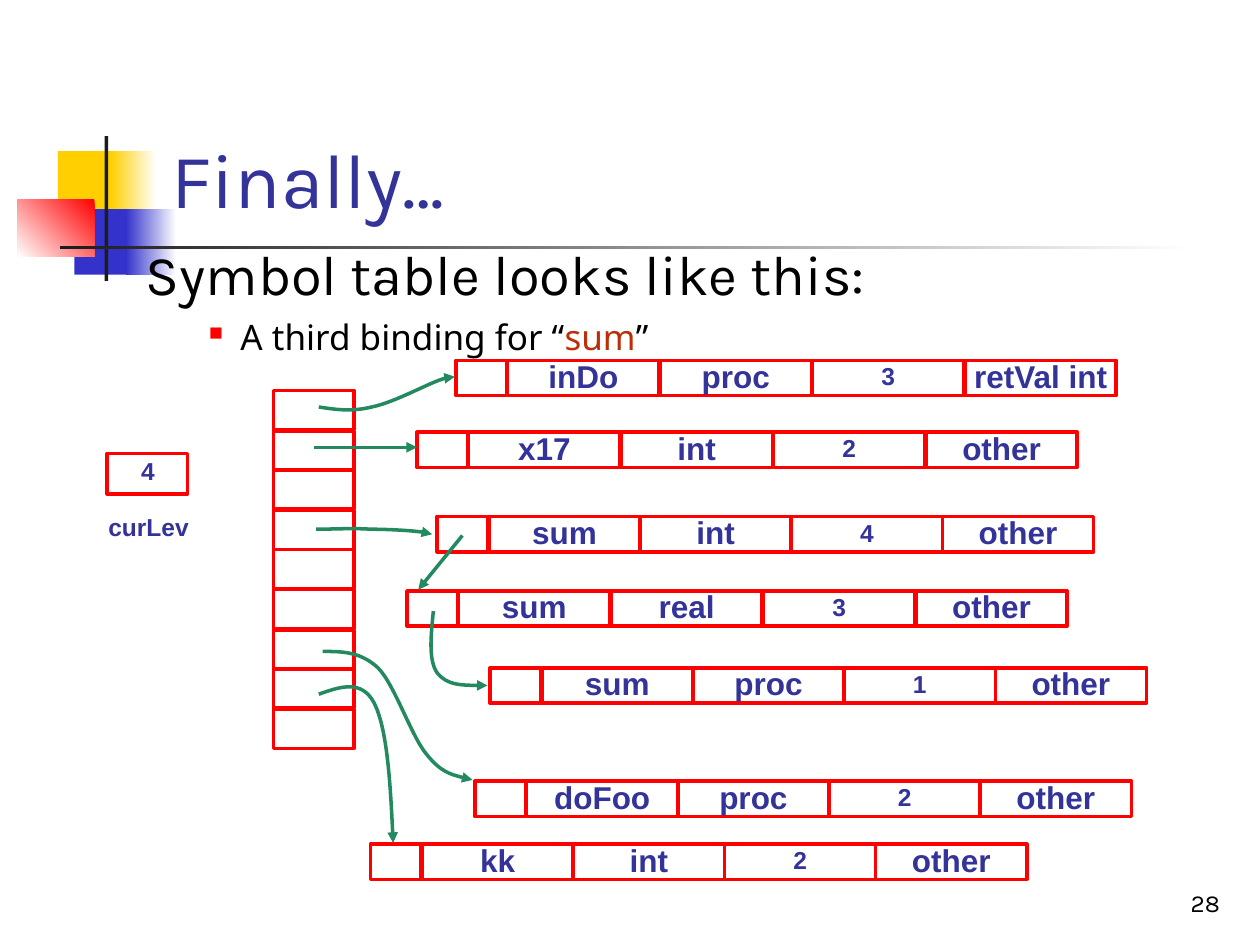
import pptx
import pptx.dml.color
import pptx.enum.shapes
import pptx.enum.text
import pptx.oxml
import pptx.oxml.ns
import pptx.util

PX = 9144
RED, GREEN, NAVY, BLACK, WHITE = "FF0000", "228A5E", "333399", "000000", "FFFFFF"
ANCHOR = pptx.enum.text.MSO_ANCHOR
ALIGN = pptx.enum.text.PP_ALIGN
FIT = pptx.enum.text.MSO_AUTO_SIZE
RECT = pptx.enum.shapes.MSO_SHAPE.RECTANGLE

ORNAMENTS = [
    ((46, 120, 48, 52), ["FFCF01"], 0),
    ((88, 120, 36, 52), [WHITE, "FFCF01"], 180),
    ((59, 166, 46, 52), ["3333CC"], 0),
    ((100, 166, 40, 52), [WHITE, "3333CC"], 180),
    ((14, 158, 61, 46), [RED, WHITE], 225),
    ((83, 108, 3, 115), ["1C1C1C"], 0),
    ((48, 195, 900, 3), [WHITE, "1C1C1C"], 180),
]
TITLE = "Finally…"
HEADING = "Symbol table looks like this:"
BINDING = [("A third binding for “", BLACK), ("sum", "BB2E07"), ("”", BLACK)]

BUCKETS = {"count": 9, "left": 217, "top": 310, "pitch": 31.6, "size": (64, 31)}
ENTRIES = [
    (362, 286, 121, ["inDo", "proc", "3", "retVal int"]),
    (331, 343, 121, ["x17", "int", "2", "other"]),
    (347, 410, 120, ["sum", "int", "4", "other"]),
    (323, 469, 121, ["sum", "real", "3", "other"]),
    (389, 530, 120, ["sum", "proc", "1", "other"]),
    (377, 620, 120, ["doFoo", "proc", "2", "other"]),
    (294, 670, 120, ["kk", "int", "2", "other"]),
]
POINTER_WIDTH, CELL_WIDTH, CELL_HEIGHT, CELL_OFFSET = 40, 120, 28, 41

STRAIGHT_LINKS = [((249, 355), (331, 355)), ((367, 425), (332, 468))]
CURVED_LINKS = [
    [(253, 323), (266, 325), (279, 327), (295, 323), (311, 320), (337, 306),
     (348, 302), (359, 298), (360, 298), (361, 299)],
    [(251, 420), (265, 420), (280, 419), (294, 420), (307, 420), (325, 421),
     (333, 422), (341, 423), (342, 423), (343, 424)],
    [(344, 485), (342, 505), (340, 524), (347, 534), (355, 544), (371, 544),
     (387, 544)],
    [(256, 517), (271, 517), (286, 517), (300, 530), (313, 543), (326, 583),
     (338, 598), (350, 613), (362, 616), (375, 619)],
    [(253, 551), (270, 545), (287, 539), (297, 558), (307, 578), (310, 623),
     (312, 669)],
]
CELL_LABEL = {"name": "Arial", "bold": True}


def emu(*lengths):
    return [round(length * PX) for length in lengths]


def rgb(color):
    return pptx.dml.color.RGBColor.from_string(color)


def apply(target, values):
    for key, value in values.items():
        setattr(target, key, value)


def write(paragraph, runs, size, font, **layout):
    apply(paragraph, layout)
    for text, color in runs:
        run = paragraph.add_run()
        run.text = text
        apply(run.font, {"size": pptx.util.Pt(size), **font})
        run.font.color.rgb = rgb(color)


def add_box(slide, area):
    box = slide.shapes.add_shape(RECT, *emu(*area))
    box.shadow.inherit = False
    return box


def add_ornament(slide, area, colors, angle):
    ornament = add_box(slide, area)
    ornament.line.fill.background()
    if len(colors) == 1:
        ornament.fill.solid()
        ornament.fill.fore_color.rgb = rgb(colors[0])
        return
    ornament.fill.gradient()
    ornament.fill.gradient_angle = angle
    for stop, color in zip(ornament.fill.gradient_stops, colors):
        stop.color.rgb = rgb(color)


def add_cell(slide, area, label=""):
    cell = add_box(slide, area)
    cell.fill.background()
    cell.line.color.rgb = rgb(RED)
    cell.line.width = pptx.util.Pt(2)
    if label:
        apply(cell.text_frame, {"word_wrap": False, "vertical_anchor": ANCHOR.MIDDLE})
        write(cell.text_frame.paragraphs[0], [(label, NAVY)],
              14 if label.isdigit() else 18, CELL_LABEL,
              alignment=ALIGN.CENTER, line_spacing=0.9)


def add_text(slide, area, anchor=ANCHOR.TOP):
    frame = slide.shapes.add_textbox(*emu(*area)).text_frame
    apply(frame, {"word_wrap": True, "vertical_anchor": anchor, "auto_size": FIT.NONE})
    return frame


def finish_link(link):
    link.line.color.rgb = rgb(GREEN)
    link.line.width = pptx.util.Pt(2)
    pptx.oxml.ns.qn("a:tailEnd")
    line = link.line._get_or_add_ln()
    line.append(pptx.oxml.parse_xml(
        f'<a:tailEnd {pptx.oxml.ns.nsdecls("a")} type="triangle"/>'))


def add_straight_link(slide, start, end):
    link = slide.shapes.add_connector(
        pptx.enum.shapes.MSO_CONNECTOR.STRAIGHT, *emu(*start, *end))
    finish_link(link)
    link._element.spPr.append(pptx.oxml.parse_xml(
        f'<a:effectLst {pptx.oxml.ns.nsdecls("a")}/>'))


def add_curved_link(slide, points):
    builder = slide.shapes.build_freeform(*points[0], scale=PX)
    builder.add_line_segments(points[1:], close=False)
    link = builder.convert_to_shape()
    segments = list(link._element.iter(pptx.oxml.ns.qn("a:lnTo")))
    for first in range(0, len(segments), 3):
        curve = pptx.oxml.parse_xml(f'<a:cubicBezTo {pptx.oxml.ns.nsdecls("a")}/>')
        segments[first].addprevious(curve)
        for segment in segments[first:first + 3]:
            curve.append(segment[0])
            segment.getparent().remove(segment)
    link.shadow.inherit = False
    link.fill.background()
    finish_link(link)


def add_heading(slide):
    frame = add_text(slide, (106, 185, 885, 249))
    write(frame.paragraphs[0], [(HEADING, BLACK)], 32, {"name": "Karla"})
    binding = frame.add_paragraph()
    props = binding._p.get_or_add_pPr()
    props.set("marL", str(75 * PX))
    props.set("indent", str(-25 * PX))
    for bullet in (f'<a:buClr {{}}><a:srgbClr val="{RED}"/></a:buClr>',
                   '<a:buSzPct {} val="55000"/>', '<a:buChar {} char="■"/>'):
        props.append(pptx.oxml.parse_xml(bullet.format(pptx.oxml.ns.nsdecls("a"))))
    write(binding, BINDING, 20, {"name": "Noto Sans"}, space_before=pptx.util.Pt(5))


def main():
    deck = pptx.Presentation()
    apply(deck, dict(zip(("slide_width", "slide_height"), emu(1000, 750))))
    slide = deck.slides.add_slide(deck.slide_layouts[5])

    for ornament in ORNAMENTS:
        add_ornament(slide, *ornament)

    title = slide.shapes.title
    apply(title, dict(zip(("left", "top", "width", "height"), emu(126, 23, 852, 160))))
    apply(title.text_frame, {"vertical_anchor": ANCHOR.BOTTOM, "word_wrap": True,
                             "auto_size": FIT.NONE})
    write(title.text_frame.paragraphs[0], [(TITLE, NAVY)], 44, {"name": "Karla"},
          alignment=ALIGN.LEFT)
    add_heading(slide)

    for bucket in range(BUCKETS["count"]):
        top = round(BUCKETS["top"] + bucket * BUCKETS["pitch"])
        add_cell(slide, (BUCKETS["left"], top, *BUCKETS["size"]))

    for left, top, pitch, fields in ENTRIES:
        add_cell(slide, (left, top, POINTER_WIDTH, CELL_HEIGHT))
        for column, field in enumerate(fields):
            cell_left = left + CELL_OFFSET + column * pitch
            add_cell(slide, (cell_left, top, CELL_WIDTH, CELL_HEIGHT), field)

    for start, end in STRAIGHT_LINKS:
        add_straight_link(slide, start, end)
    for points in CURVED_LINKS:
        add_curved_link(slide, points)

    add_cell(slide, (85, 360, 64, 32))
    for text, area in (("4", (96, 360, 43, 31)), ("curLev", (71, 404, 94, 31))):
        write(add_text(slide, area).paragraphs[0], [(text, NAVY)], 14, CELL_LABEL,
              alignment=ALIGN.CENTER, line_spacing=0.9)
    number = add_text(slide, (770, 683, 208, 50), ANCHOR.BOTTOM)
    write(number.paragraphs[0], [("28", BLACK)], 14, {"name": "Karla"},
          alignment=ALIGN.RIGHT)

    deck.save("out.pptx")


if __name__ == "__main__":
    main()
